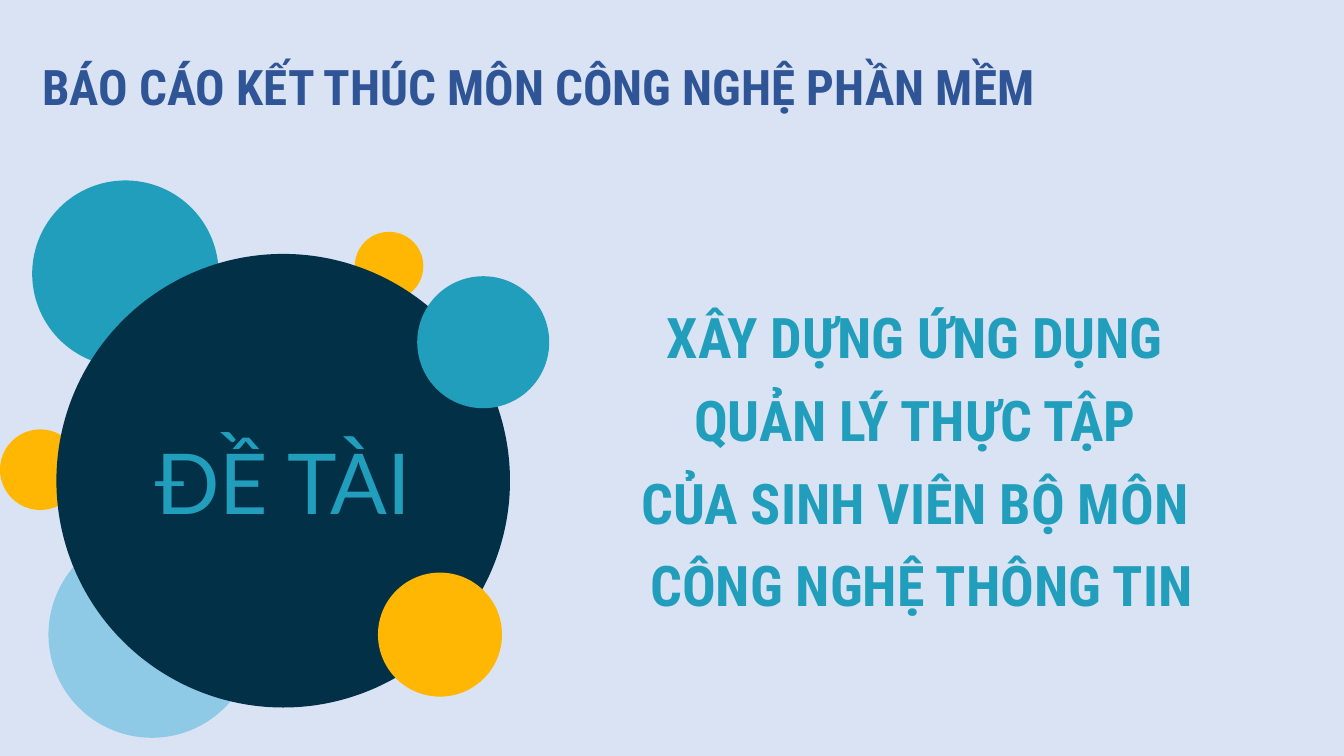
from dataclasses import dataclass

from pptx import Presentation
from pptx.dml.color import RGBColor
from pptx.enum.shapes import MSO_SHAPE
from pptx.enum.text import MSO_ANCHOR, PP_ALIGN
from pptx.slide import Slide
from pptx.text.text import TextFrame
from pptx.util import Pt

PALE = RGBColor(0xDA, 0xE3, 0xF3)
GOLD = RGBColor(0xFF, 0xB7, 0x03)
TEAL = RGBColor(0x21, 0x9E, 0xBC)
SKY = RGBColor(0x8E, 0xCA, 0xE6)
NAVY = RGBColor(0x02, 0x30, 0x47)
BLUE = RGBColor(0x2F, 0x55, 0x97)


@dataclass
class Disc:
    left: float
    top: float
    size: float
    fill: RGBColor
    label: str = ""


@dataclass
class Block:
    left: float
    top: float
    width: float
    height: float
    lines: list[str]
    size: float
    color: RGBColor
    align: PP_ALIGN
    gap: float = 0


DISCS = [
    Disc(253.4, 165.6, 49, GOLD),
    Disc(0, 306.7, 57.6, GOLD),
    Disc(23, 128.9, 133.2, TEAL),
    Disc(34.6, 379.4, 147.6, SKY),
    Disc(40.3, 181.4, 324, NAVY, "ĐỀ TÀI"),
    Disc(270, 409, 88.6, GOLD),
    Disc(298, 197.3, 94.3, TEAL),
]

BLOCKS = [
    Block(23, 36.7, 891.4, 49.7, ["BÁO CÁO KẾT THÚC MÔN CÔNG NGHỆ PHẦN MỀM"],
          35, BLUE, PP_ALIGN.LEFT),
    Block(356.4, 212.4, 603.4, 237.6,
          ["XÂY DỰNG ỨNG DỤNG ", "QUẢN LÝ THỰC TẬP ",
           "CỦA SINH VIÊN BỘ MÔN ", "CÔNG NGHỆ THÔNG TIN"],
          40, TEAL, PP_ALIGN.CENTER, 5.6),
]


def write(frame: TextFrame, lines: list[str], align: PP_ALIGN,
          color: RGBColor, gap: float, form: dict) -> None:
    """Fill the frame with one paragraph per line, spaced by the gap."""
    frame.word_wrap = True
    for num, line in enumerate(lines):
        para = frame.add_paragraph() if num else frame.paragraphs[0]
        para.alignment = align
        para.space_after = Pt(gap)
        if num:
            para.space_before = Pt(gap)
        run = para.add_run()
        run.text = line
        for key, value in form.items():
            setattr(run.font, key, value)
        run.font.color.rgb = color


def draw_disc(slide: Slide, disc: Disc) -> None:
    shape = slide.shapes.add_shape(
        MSO_SHAPE.OVAL, Pt(disc.left), Pt(disc.top), Pt(disc.size), Pt(disc.size))
    shape.shadow.inherit = False
    shape.fill.solid()
    shape.fill.fore_color.rgb = disc.fill
    shape.line.fill.background()
    if disc.label:
        shape.text_frame.vertical_anchor = MSO_ANCHOR.MIDDLE
        write(shape.text_frame, [disc.label], PP_ALIGN.CENTER, TEAL, 0,
              {"name": "Lato", "size": Pt(60)})


def draw_block(slide: Slide, block: Block) -> None:
    box = slide.shapes.add_textbox(
        Pt(block.left), Pt(block.top), Pt(block.width), Pt(block.height))
    write(box.text_frame, block.lines, block.align, block.color, block.gap,
          {"name": "Roboto Condensed", "size": Pt(block.size), "bold": True})


def main() -> None:
    deck = Presentation()
    deck.slide_width, deck.slide_height = Pt(960), Pt(540)
    slide = deck.slides.add_slide(deck.slide_layouts[6])
    back = slide.background.fill
    back.solid()
    back.fore_color.rgb = PALE
    for disc in DISCS:
        draw_disc(slide, disc)
    for block in BLOCKS:
        draw_block(slide, block)
    deck.save("out.pptx")


if __name__ == "__main__":
    main()
